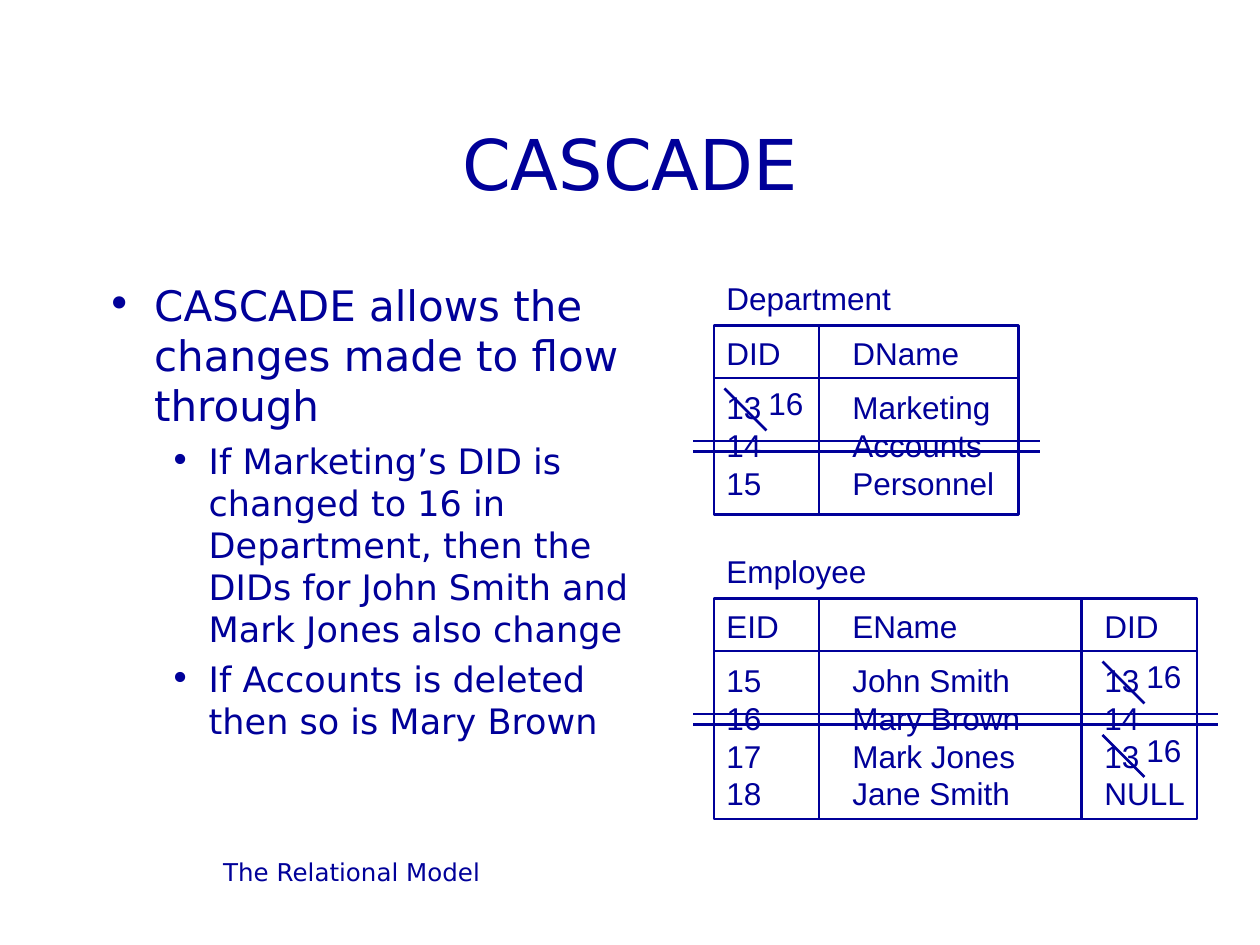
from lxml import etree
from pptx import Presentation
from pptx.dml.color import RGBColor
from pptx.enum.shapes import MSO_CONNECTOR, MSO_SHAPE
from pptx.enum.text import MSO_ANCHOR, PP_ALIGN
from pptx.oxml.ns import qn
from pptx.util import Pt

PX = 7620
NAVY = RGBColor(0x00, 0x00, 0x99)
SANS, ARIAL = "DejaVu Sans", "Arial"
LEFT, MID = PP_ALIGN.LEFT, PP_ALIGN.CENTER
TOP, HALF = MSO_ANCHOR.TOP, MSO_ANCHOR.MIDDLE
LINE, RECT = MSO_CONNECTOR.STRAIGHT, MSO_SHAPE.RECTANGLE

deck = Presentation()
deck.slide_width, deck.slide_height = 1200 * PX, 900 * PX
slide = deck.slides.add_slide(deck.slide_layouts[6])
shapes = slide.shapes


def write(box, rows, font, align=LEFT, anchor=TOP, wrap=True):
    frame = shapes.add_textbox(*(n * PX for n in box)).text_frame
    frame.word_wrap = wrap
    frame.vertical_anchor = anchor
    for i, (text, size, gap) in enumerate(rows):
        para = frame.add_paragraph() if i else frame.paragraphs[0]
        para.alignment = align
        para.space_before = Pt(gap)
        run = para.add_run()
        run.text = text
        run.font.size = Pt(size)
        run.font.name = font
        run.font.color.rgb = NAVY
    return frame


def rule(x1, y1, x2, y2):
    line = shapes.add_connector(LINE, x1 * PX, y1 * PX, x2 * PX, y2 * PX)
    line.line.color.rgb = NAVY
    line.line.width = Pt(1.5)
    etree.SubElement(line._element.spPr, qn("a:effectLst"))


write((90, 810, 490, 60), [("The Relational Model", 14, 0)], SANS, MID)
write((90, 80, 1020, 150), [("CASCADE", 40, 0)], SANS, MID, HALF)

points = [
    ("CASCADE allows the changes made to flow through", 24, 0),
    ("If Marketing’s DID is changed to 16 in Department, then the DIDs "
     "for John Smith and Mark Jones also change", 20, 5),
    ("If Accounts is deleted then so is Mary Brown", 20, 5),
]
body = write((90, 260, 560, 540), points, SANS)
for para, level in zip(body.paragraphs, (0, 1, 1)):
    para.level = level
    left, hang = ((45, 45), (97, 37))[level]
    props = para._p.get_or_add_pPr()
    props.set("marL", str(left * PX))
    props.set("indent", str(-hang * PX))
    etree.SubElement(props, qn("a:buFont")).set("typeface", SANS)
    etree.SubElement(props, qn("a:buChar")).set("char", "•")

tables = [
    (260, 290, 180, (780,),
     ["Department", "DID\tDName",
      "13\tMarketing", "14\tAccounts", "15\tPersonnel"]),
    (520, 460, 210, (780, 1030),
     ["Employee", "EID\tEName\tDID", "15\tJohn Smith\t13",
      "16\tMary Brown\t14", "17\tMark Jones\t13", "18\tJane Smith\tNULL"]),
]
for top, wide, high, cols, rows in tables:
    lines = [(row, 18, 9.5 if i in (1, 2) else 0) for i, row in enumerate(rows)]
    text = write((680, top, wide + 20, high + 50), lines, ARIAL)
    for para in text.paragraphs:
        tabs = etree.SubElement(para._p.get_or_add_pPr(), qn("a:tabLst"))
        for stop in (120, 360)[:len(cols)]:
            tab = etree.SubElement(tabs, qn("a:tab"))
            tab.set("pos", str(stop * PX))
            tab.set("algn", "l")
    head = top + 50
    frame = shapes.add_shape(RECT, 680 * PX, head * PX, wide * PX, high * PX)
    frame.shadow.inherit = False
    frame.fill.background()
    frame.line.color.rgb = NAVY
    frame.line.width = Pt(1.5)
    rule(680, head + 50, 680 + wide, head + 50)
    for x in cols:
        rule(x, head, x, head + high)
    for y in (top + 160, top + 170):
        rule(660, y, 700 + wide, y)

for x, y in ((690, 370), (1050, 630), (1050, 700)):
    write((x + 30, y - 10, 58, 48), [("16", 18, 0)], ARIAL, wrap=False)
    rule(x, y, x + 40, y + 40)

deck.save("out.pptx")
